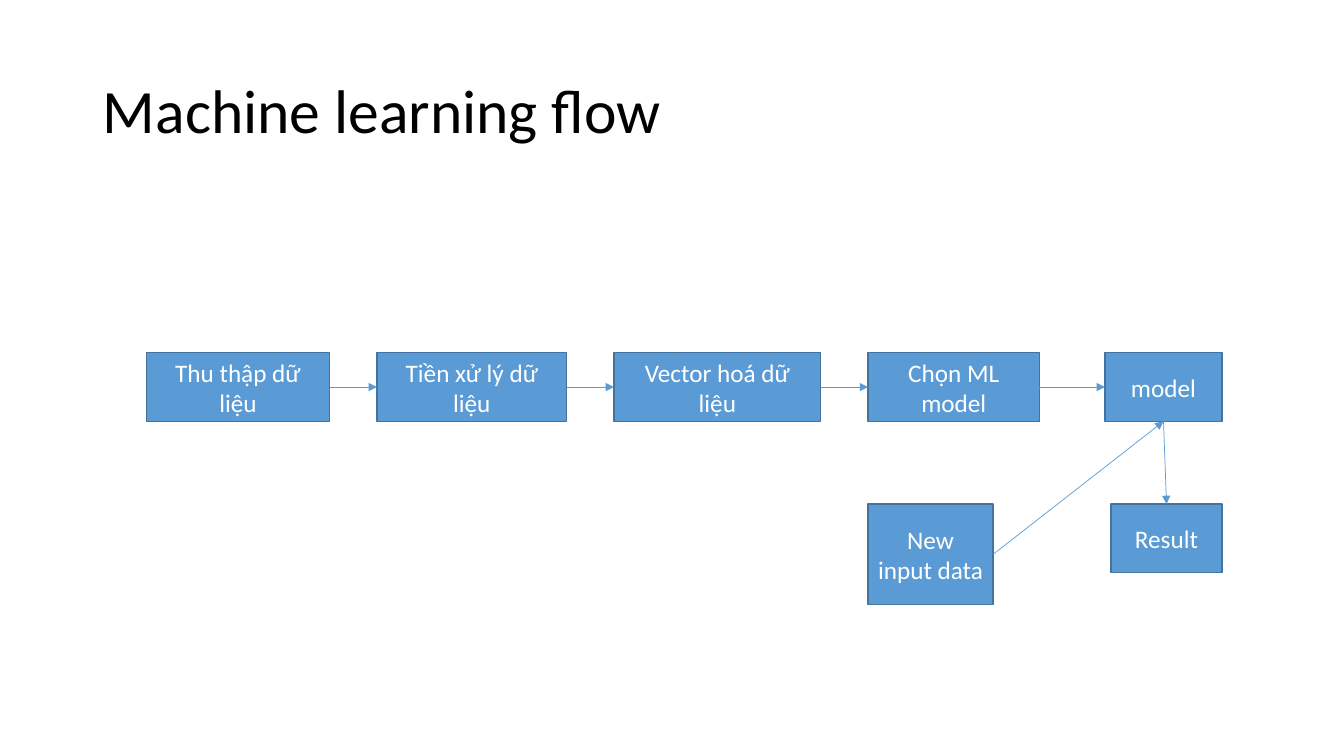
from dataclasses import dataclass
from itertools import pairwise

from lxml import etree
from pptx import Presentation
from pptx.dml.color import RGBColor
from pptx.enum.shapes import MSO_CONNECTOR, MSO_SHAPE
from pptx.enum.text import MSO_ANCHOR, PP_ALIGN
from pptx.oxml.ns import qn
from pptx.util import Inches, Pt

RECTANGLE = MSO_SHAPE.RECTANGLE
STRAIGHT = MSO_CONNECTOR.STRAIGHT
MIDDLE = MSO_ANCHOR.MIDDLE
LEFT, CENTER = PP_ALIGN.LEFT, PP_ALIGN.CENTER
TOP_SITE, LEFT_SITE, BOTTOM_SITE, RIGHT_SITE = range(4)
TITLE_ONLY = 5


@dataclass(frozen=True)
class Theme:
    font: str = "Calibri"
    title_size: int = 44
    box_size: int = 18
    title_color: str = "000000"
    box_text: str = "FFFFFF"
    box_fill: str = "5B9BD5"
    box_line: str = "43739E"
    arrow: str = "5B9BD5"
    box_line_width: float = 1
    arrow_width: float = 0.5


def write_text(shape, text, *, font, size, color, align, line_spacing=1.0):
    frame = shape.text_frame
    frame.word_wrap = True
    frame.vertical_anchor = MIDDLE
    frame.text = text
    paragraph = frame.paragraphs[0]
    paragraph.alignment = align
    paragraph.line_spacing = line_spacing
    paragraph.font.name = font
    paragraph.font.size = Pt(size)
    paragraph.font.color.rgb = RGBColor.from_string(color)


class FlowSlide:
    def __init__(self, presentation, theme):
        self.theme = theme
        self.slide = presentation.slides.add_slide(presentation.slide_layouts[TITLE_ONLY])

    def title(self, text, left, top, width, height):
        shape = self.slide.shapes.title
        shape.left, shape.top = Inches(left), Inches(top)
        shape.width, shape.height = Inches(width), Inches(height)
        write_text(shape, text, font=self.theme.font, size=self.theme.title_size,
                   color=self.theme.title_color, align=LEFT, line_spacing=0.9)

    def box(self, text, left, top, width, height):
        shape = self.slide.shapes.add_shape(
            RECTANGLE, Inches(left), Inches(top), Inches(width), Inches(height))
        shape.shadow.inherit = False
        shape.fill.solid()
        shape.fill.fore_color.rgb = RGBColor.from_string(self.theme.box_fill)
        shape.line.color.rgb = RGBColor.from_string(self.theme.box_line)
        shape.line.width = Pt(self.theme.box_line_width)
        write_text(shape, text, font=self.theme.font, size=self.theme.box_size,
                   color=self.theme.box_text, align=CENTER)
        return shape

    def arrow(self, source, source_site, target, target_site):
        connector = self.slide.shapes.add_connector(STRAIGHT, 0, 0, 0, 0)
        connector.begin_connect(source, source_site)
        connector.end_connect(target, target_site)
        connector.line.color.rgb = RGBColor.from_string(self.theme.arrow)
        connector.line.width = Pt(self.theme.arrow_width)
        properties = connector.element.spPr
        etree.SubElement(properties.find(qn("a:ln")), qn("a:tailEnd"), type="triangle")
        etree.SubElement(properties, qn("a:effectLst"))


def main():
    presentation = Presentation()
    presentation.slide_width = Inches(13.33)
    presentation.slide_height = Inches(7.5)
    flow = FlowSlide(presentation, Theme())
    flow.title("Machine learning flow", 0.92, 0.4, 11.5, 1.45)

    row_top, row_height = 3.5, 0.68
    steps = [
        ("Thu thập dữ liệu", 1.45, 1.82),
        ("Tiền xử lý dữ liệu", 3.74, 1.88),
        ("Vector hoá dữ liệu", 6.09, 2.05),
        ("Chọn ML model", 8.61, 1.7),
        ("model", 10.96, 1.16),
    ]
    step_boxes = [flow.box(text, left, row_top, width, row_height)
                  for text, left, width in steps]
    for source, target in pairwise(step_boxes):
        flow.arrow(source, RIGHT_SITE, target, LEFT_SITE)

    model = step_boxes[-1]
    new_input = flow.box("New input data", 8.61, 5, 1.24, 1)
    result = flow.box("Result", 11.02, 5, 1.1, row_height)
    flow.arrow(new_input, RIGHT_SITE, model, BOTTOM_SITE)
    flow.arrow(model, BOTTOM_SITE, result, TOP_SITE)

    presentation.save("out.pptx")


if __name__ == "__main__":
    main()
